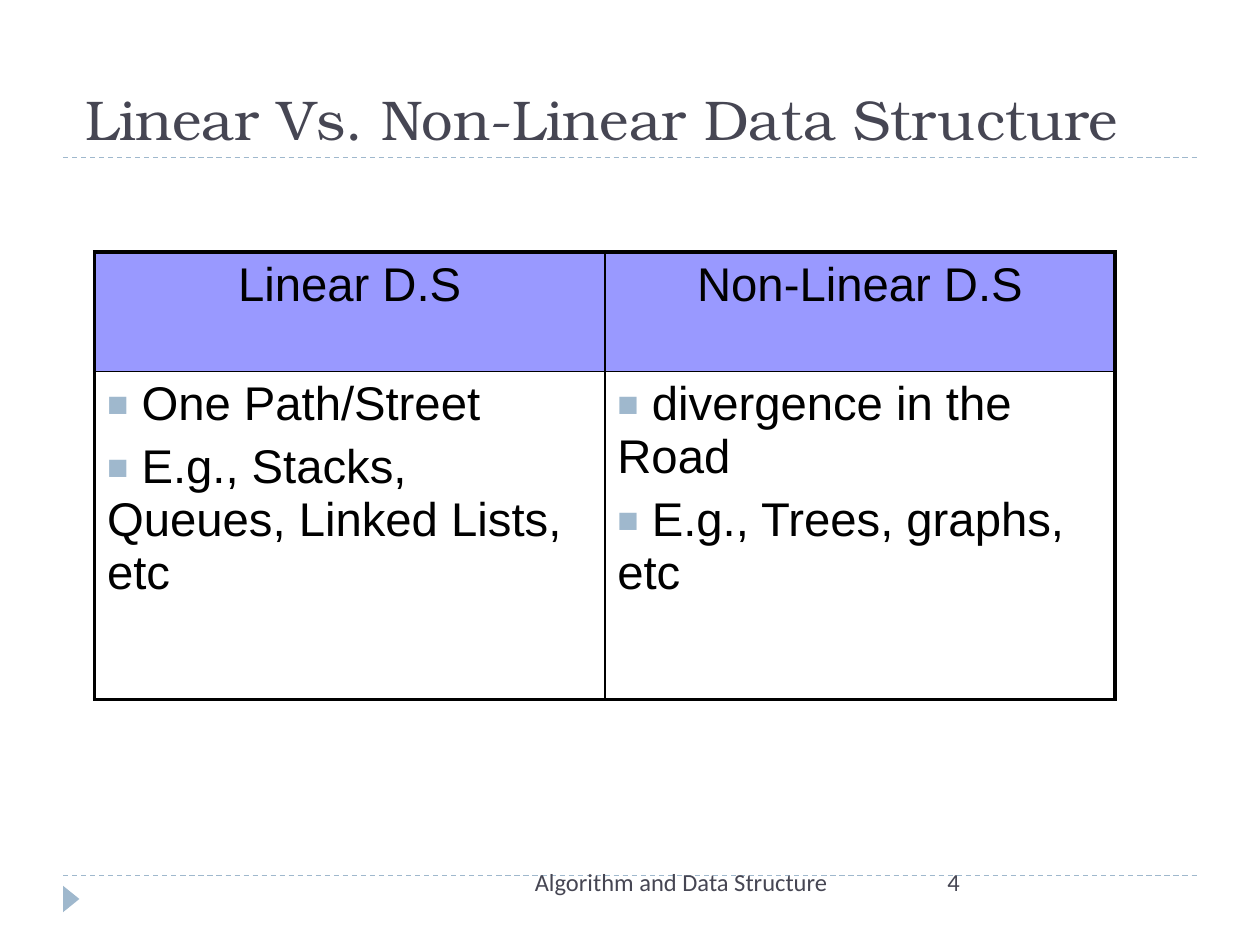
"""Build the slide comparing linear and non-linear data structures."""
from typing import Any, NamedTuple

from lxml import etree
from pptx import Presentation
from pptx import util as u
from pptx.dml.color import RGBColor
from pptx.enum import dml, shapes, text
from pptx.oxml.ns import qn

BLACK = RGBColor(0x00, 0x00, 0x00)
SLATE = RGBColor(0x46, 0x46, 0x53)
STEEL = RGBColor(0x9F, 0xB8, 0xCD)
LILAC = RGBColor(0x99, 0x99, 0xFF)

COLUMNS, ROWS = 100, 75
UNIT = u.Inches(10) // COLUMNS
THICK, THIN = 2.25, 1


class Box(NamedTuple):
    left: float
    top: float
    width: float
    height: float

    def lengths(self) -> list[u.Emu]:
        """Convert grid units to slide lengths."""
        return [u.Emu(round(value * UNIT)) for value in self]


class Label(NamedTuple):
    words: str
    box: Box
    size: float
    font: str
    align: Any = text.PP_ALIGN.LEFT
    anchor: Any = text.MSO_ANCHOR.TOP


class Topic(NamedTuple):
    heading: str
    points: tuple[str, ...]


LABELS = (
    Label("Linear Vs. Non-Linear Data Structure", Box(5.8, 0, 89.2, 12.5),
          32, "TeX Gyre Bonum", anchor=text.MSO_ANCHOR.BOTTOM),
    Label("Algorithm and Data Structure ", Box(35.4, 68.3, 31.7, 5),
          14, "Calibri", text.PP_ALIGN.RIGHT),
    Label("4", Box(74.2, 68.3, 20.8, 5), 14, "Calibri"),
)
TOPICS = (
    Topic("Linear D.S", (" One Path/Street", " E.g., Stacks, Queues, Linked Lists, etc")),
    Topic("Non-Linear D.S", (" divergence in the Road", " E.g., Trees, graphs, etc")),
)
RULE_ROWS = (69.5, 12.5)
MARKER = Box(4.6, 70.7, 2.1, 1.3)
TABLE = Box(7.5, 20, 81, 35.5)
HEADING_HEIGHT = 9.5
CELL_FORMAT = {"size": u.Pt(27), "name": "Arial"}


def apply_font(paragraph: Any, values: dict[str, Any], color: RGBColor) -> None:
    """Set the font attributes and colour of a paragraph."""
    for name, value in values.items():
        setattr(paragraph.font, name, value)
    paragraph.font.color.rgb = color


def draw_rule(slide: Any, row: float) -> None:
    """Draw a dashed rule across the slide at a grid row."""
    left, top, right, bottom = Box(5, row, 95, row).lengths()
    rule = slide.shapes.add_connector(shapes.MSO_CONNECTOR.STRAIGHT, left, top, right, bottom)
    rule.line.color.rgb = STEEL
    rule.line.width = u.Pt(0.75)
    rule.line.dash_style = dml.MSO_LINE.DASH
    etree.SubElement(rule._element.spPr, qn("a:effectLst"))


def draw_marker(slide: Any) -> None:
    """Draw the triangle that points right beside the footer."""
    shape = slide.shapes.add_shape(shapes.MSO_SHAPE.ISOSCELES_TRIANGLE, *MARKER.lengths())
    shape.rotation = 90
    shape.shadow.inherit = False
    shape.fill.solid()
    shape.fill.fore_color.rgb = STEEL
    shape.line.fill.background()


def draw_label(slide: Any, label: Label) -> None:
    """Draw one text box."""
    frame = slide.shapes.add_textbox(*label.box.lengths()).text_frame
    frame.word_wrap = True
    frame.vertical_anchor = label.anchor
    paragraph = frame.paragraphs[0]
    paragraph.text = label.words
    paragraph.alignment = label.align
    apply_font(paragraph, {"size": u.Pt(label.size), "name": label.font}, SLATE)


def add_bullet(paragraph: Any) -> None:
    """Give a paragraph a small square bullet."""
    properties = paragraph._p.get_or_add_pPr()
    color = etree.SubElement(properties, qn("a:buClr"))
    etree.SubElement(color, qn("a:srgbClr"), val=str(STEEL))
    etree.SubElement(properties, qn("a:buSzPct"), val="75000")
    etree.SubElement(properties, qn("a:buFont"), typeface="Arial")
    etree.SubElement(properties, qn("a:buChar"), char="■")


def add_borders(cell: Any, widths: dict[str, float]) -> None:
    """Set the width of each side of a cell's border."""
    properties = cell._tc.get_or_add_tcPr()
    for side, width in widths.items():
        line = etree.SubElement(properties, qn(f"a:ln{side}"), w=str(u.Pt(width)))
        fill = etree.SubElement(line, qn("a:solidFill"))
        etree.SubElement(fill, qn("a:srgbClr"), val=str(BLACK))


def fill_cell(cell: Any, lines: tuple[str, ...], is_heading: bool) -> None:
    """Write a heading or a bulleted list into a cell."""
    frame = cell.text_frame
    for index, words in enumerate(lines):
        paragraph = frame.add_paragraph() if index else frame.paragraphs[0]
        paragraph.text = words
        if is_heading:
            paragraph.alignment = text.PP_ALIGN.CENTER
        else:
            add_bullet(paragraph)
        if index:
            paragraph.space_before = u.Pt(5.4)
        apply_font(paragraph, CELL_FORMAT, BLACK)
    if is_heading:
        cell.fill.solid()
        cell.fill.fore_color.rgb = LILAC
    else:
        cell.fill.background()


def draw_table(slide: Any) -> None:
    """Draw the comparison table with a thick outer border."""
    table = slide.shapes.add_table(2, len(TOPICS), *TABLE.lengths()).table
    heights = (HEADING_HEIGHT, TABLE.height - HEADING_HEIGHT)
    for row, height in zip(table.rows, heights):
        row.height = u.Emu(round(height * UNIT))
    last = len(TOPICS) - 1
    for column, topic in enumerate(TOPICS):
        for row, lines in enumerate(((topic.heading,), topic.points)):
            cell = table.cell(row, column)
            add_borders(cell, {
                "L": THICK if column == 0 else THIN,
                "R": THICK if column == last else THIN,
                "T": THICK if row == 0 else THIN,
                "B": THICK if row == 1 else THIN,
            })
            fill_cell(cell, lines, is_heading=row == 0)


def main() -> None:
    """Build and save the presentation."""
    presentation = Presentation()
    presentation.slide_width = u.Emu(COLUMNS * UNIT)
    presentation.slide_height = u.Emu(ROWS * UNIT)
    slide = presentation.slides.add_slide(presentation.slide_layouts[6])
    for row in RULE_ROWS:
        draw_rule(slide, row)
    draw_marker(slide)
    draw_table(slide)
    for label in LABELS:
        draw_label(slide, label)
    presentation.save("out.pptx")


if __name__ == "__main__":
    main()
